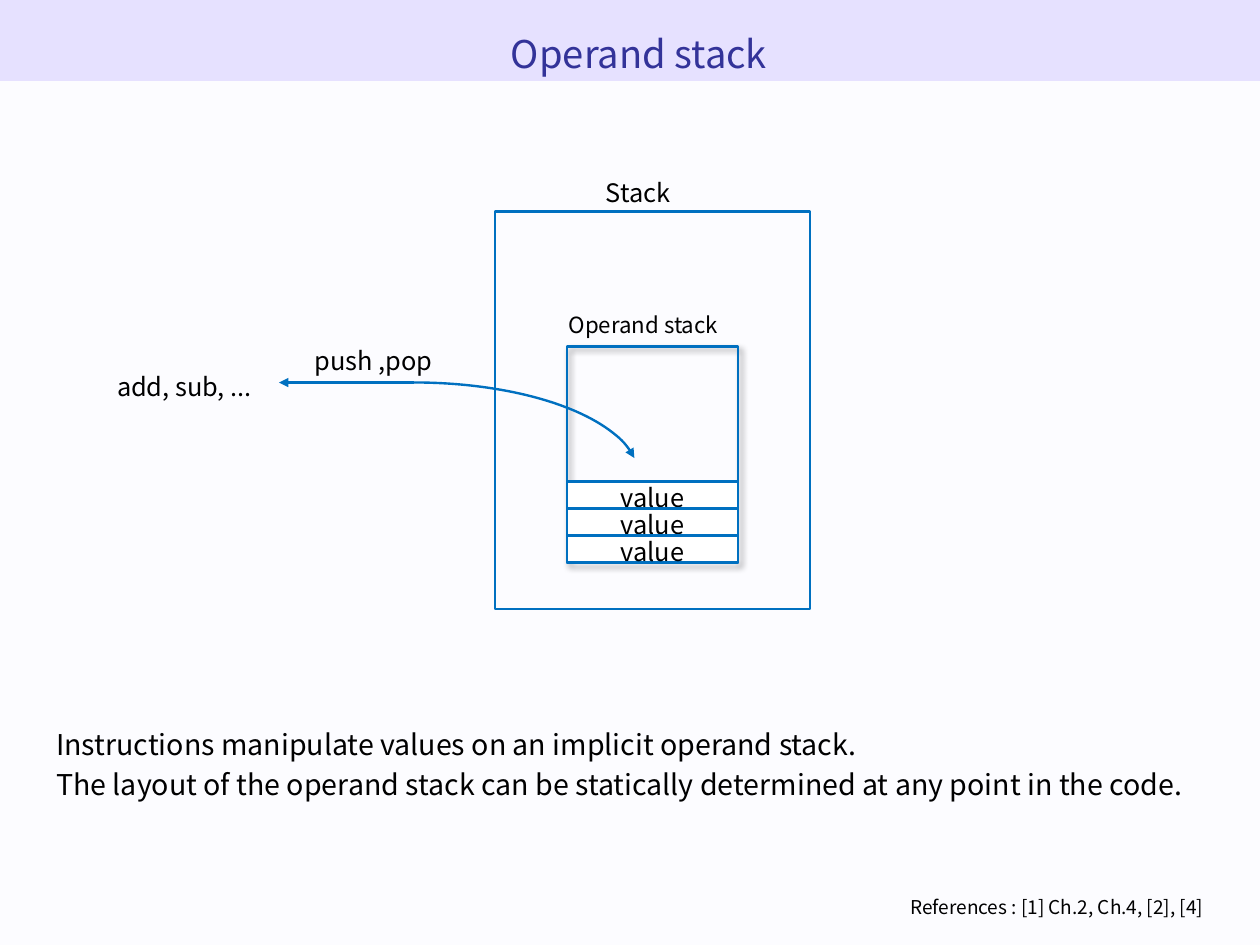
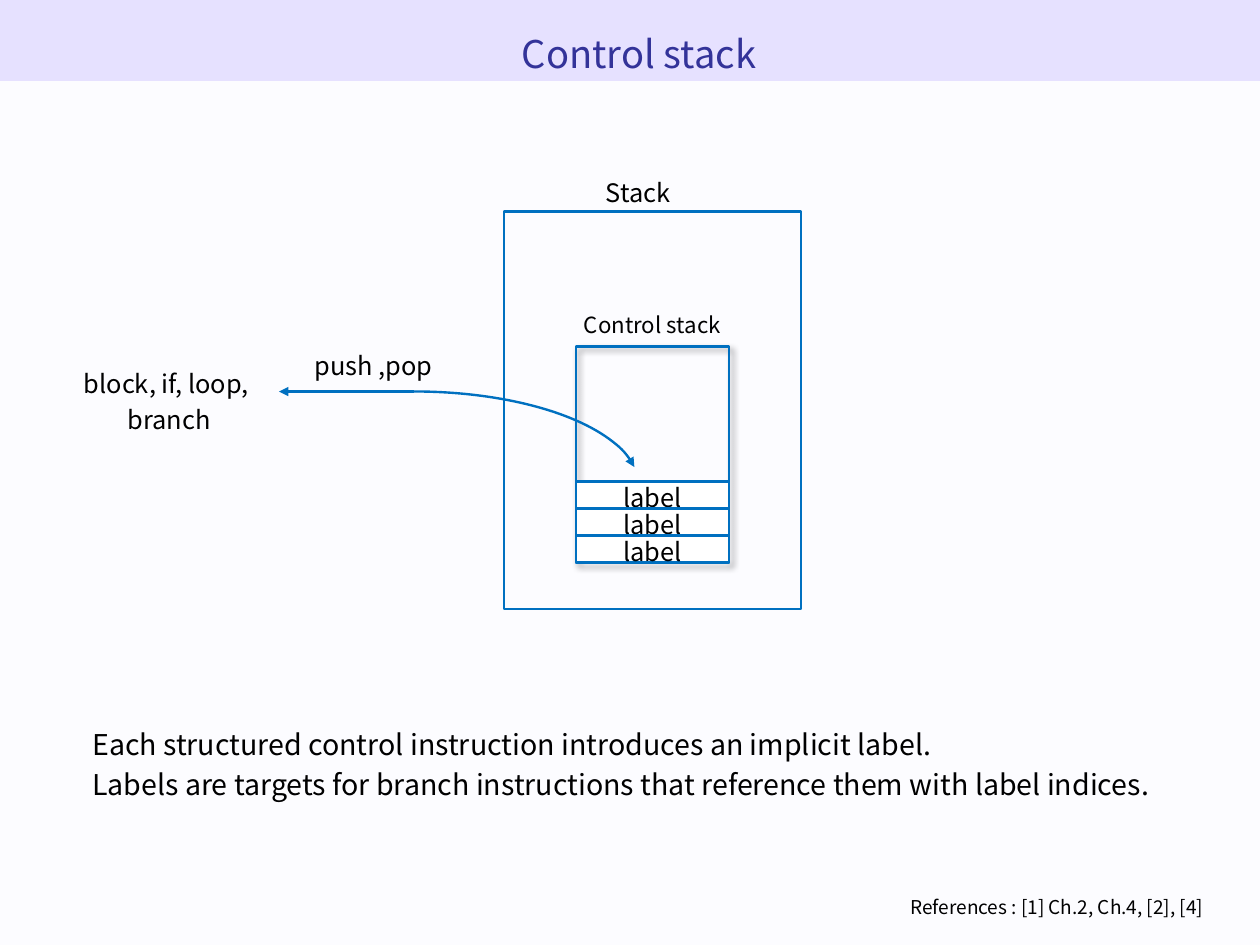
from lxml.etree import SubElement as Sub
from pptx import Presentation
from pptx.dml.color import RGBColor
from pptx.enum.shapes import MSO_CONNECTOR as Conn, MSO_SHAPE as Geo
from pptx.enum.text import MSO_ANCHOR as Anchor, PP_ALIGN as Align
from pptx.oxml.ns import qn
from pptx.util import Cm, Pt

COLS, ROWS = 140, 105
WIDTH, HEIGHT = Cm(28), Cm(21)
FONT = "Noto Sans CJK SC"
PAPER, BAND, TITLE = "FCFCFF", "E6E1FF", "333399"
LINE, INK, WHITE = "0070C0", "000000", "FFFFFF"
CELL = 3


def color(code):
    return RGBColor.from_string(code)


def place(col, row, wide, high):
    return [round(col * WIDTH / COLS), round(row * HEIGHT / ROWS),
            round(wide * WIDTH / COLS), round(high * HEIGHT / ROWS)]


def write(frame, lines, size, ink=INK, align=Align.CENTER, anchor=Anchor.TOP):
    frame.vertical_anchor = anchor
    for i, line in enumerate(lines):
        para = frame.paragraphs[0] if i == 0 else frame.add_paragraph()
        para.alignment = align
        para.line_spacing = 1.17
        run = para.add_run()
        run.text = line
        run.font.name = FONT
        run.font.size = Pt(size)
        run.font.color.rgb = color(ink)


def text(slide, box, lines, size, **style):
    frame = slide.shapes.add_textbox(*place(*box)).text_frame
    frame.word_wrap = True
    write(frame, lines, size, **style)


def shape(shapes, geo, box, fill=None, line=LINE):
    item = shapes.add_shape(geo, *place(*box))
    item.shadow.inherit = False
    if fill:
        item.fill.solid()
        item.fill.fore_color.rgb = color(fill)
    else:
        item.fill.background()
    if line:
        stroke(item, line)
    else:
        item.line.fill.background()
    return item


def stroke(item, line):
    item.line.color.rgb = color(line)
    item.line.width = Pt(1.5)


def shade(item):
    effect = item.element.spPr.find(qn("a:effectLst"))
    outer = Sub(effect, qn("a:outerShdw"), blurRad=str(Pt(4)), dist=str(Pt(3)),
                dir="2700000", algn="tl", rotWithShape="0")
    tone = Sub(outer, qn("a:srgbClr"), val=INK)
    Sub(tone, qn("a:alpha"), val="40000")


def head(item):
    Sub(item.line._get_or_add_ln(), qn("a:headEnd"), type="triangle")


def arrow(slide, row):
    group = slide.shapes.add_group_shape().shapes
    arc = shape(group, Geo.ARC, (21, row, 50, 21))
    arc.adjustments[0] = 110.946
    arc.adjustments[1] = 163.77
    arc.element.spPr.xfrm.set("flipH", "1")
    head(arc)
    left, top, wide, _ = place(31, row, 15, 0)
    tail = group.add_connector(Conn.STRAIGHT, left, top, left + wide, top)
    stroke(tail, LINE)
    head(tail)
    Sub(tail.element.spPr, qn("a:effectLst"))


def stack(slide, left, wide, name, word):
    shape(slide.shapes, Geo.RECTANGLE, (left, 23.5, wide, 44.2))
    text(slide, (61, 18.5, 19.8, 5.2), ["Stack"], 16)
    text(slide, (left + 4, 33.5, 25, 5), [name], 14)
    inner, span, top, high = left + 8, wide - 16, 38.5, 24
    shade(shape(slide.shapes, Geo.RECTANGLE, (inner, top, span, high)))
    for i in range(3, 0, -1):
        box = inner, top + high - i * CELL, span, CELL
        cell = shape(slide.shapes, Geo.RECTANGLE, box, WHITE)
        cell.text_frame.word_wrap = False
        write(cell.text_frame, [word], 16, anchor=Anchor.MIDDLE)


def base(deck, title):
    slide = deck.slides.add_slide(deck.slide_layouts[6])
    shape(slide.shapes, Geo.RECTANGLE, (0, 0, COLS, 9), BAND, None)
    text(slide, (5, 1.9, 132, 12), [title], 24, ink=TITLE)
    text(slide, (6, 98.5, 129, 4.7), ["References : [1] Ch.2, Ch.4, [2], [4]"],
         12, align=Align.RIGHT)
    return slide


def build(deck, title, left, wide, word, row, push, code, spot, notes, edge):
    slide = base(deck, title)
    stack(slide, left, wide, title, word)
    text(slide, (29, push, 25, 5.6), ["push ,pop"], 16, anchor=Anchor.MIDDLE)
    text(slide, (*spot, 25, 5.6), code, 16, anchor=Anchor.MIDDLE)
    text(slide, (edge, 79.5, COLS - 1 - edge, 6), notes, 18, align=Align.LEFT)
    arrow(slide, row)


def main():
    deck = Presentation()
    deck.slide_width, deck.slide_height = WIDTH, HEIGHT
    back = deck.slide_master.background.fill
    back.solid()
    back.fore_color.rgb = color(PAPER)
    build(deck, "Operand stack", 55, 35, "value", 42.5, 37,
          ["add, sub, ..."], (8, 39.9),
          ["Instructions manipulate values on an implicit operand stack.",
           "The layout of the operand stack can be statically determined"
           " at any point in the code."], 5)
    build(deck, "Control stack", 56, 33, "label", 43.5, 37.5,
          ["block, if, loop,", " branch"], (6, 41.5),
          ["Each structured control instruction introduces an implicit label.",
           "Labels are targets for branch instructions that reference them"
           " with label indices."], 9)
    deck.save("out.pptx")


if __name__ == "__main__":
    main()
